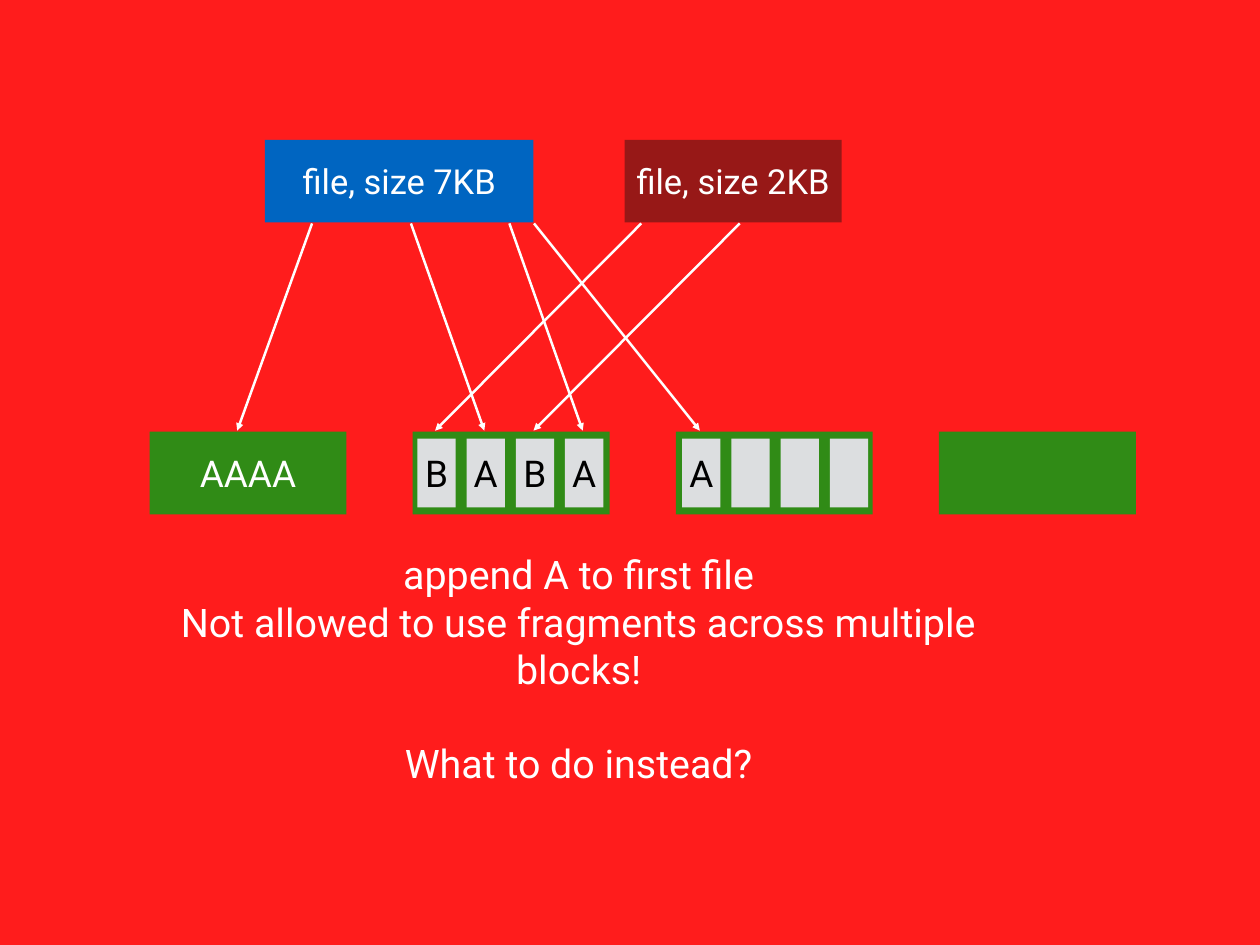
from dataclasses import dataclass
from lxml.etree import SubElement as Sub
from pptx import Presentation as Deck
from pptx.dml.color import RGBColor as Color
from pptx.enum.shapes import MSO_CONNECTOR as Link, MSO_SHAPE as Form
from pptx.enum.text import MSO_ANCHOR as Anchor, PP_ALIGN as Align
from pptx.oxml.ns import qn
from pptx.util import Inches, Pt


@dataclass(frozen=True)
class Theme:
    font: str = "Roboto"
    back: str = "FF1C1C"
    light: str = "FFFFFF"
    dark: str = "000000"
    block: str = "308B16"
    cell: str = "DCDEE0"
    blue: str = "0065C1"
    maroon: str = "971817"
    file_size: int = 28
    block_size: int = 30
    note_size: int = 32
    stroke: int = 2


class Board:
    COLS, ROWS = 128, 96

    def __init__(self, deck, theme):
        self.theme = theme
        self.wide = deck.slide_width / self.COLS
        self.high = deck.slide_height / self.ROWS
        self.slide = deck.slides.add_slide(deck.slide_layouts[6])
        self.paint(self.slide.background.fill, theme.back)

    def paint(self, fill, color):
        fill.solid()
        fill.fore_color.rgb = Color.from_string(color)

    def place(self, *spots):
        units = (self.wide, self.high) * 2
        return [round(spot * unit) for spot, unit in zip(spots, units)]

    def label(self, frame, lines, size, color, inset=0):
        frame.word_wrap = True
        frame.vertical_anchor = Anchor.MIDDLE
        frame.margin_left = frame.margin_right = Inches(inset)
        frame.margin_top = frame.margin_bottom = Inches(inset)
        for at, (text, gap) in enumerate(lines):
            para = frame.add_paragraph() if at else frame.paragraphs[0]
            para.alignment = Align.CENTER
            para.space_before = Pt(gap)
            run = para.add_run()
            run.text = text
            run.font.name = self.theme.font
            run.font.size = Pt(size)
            run.font.color.rgb = Color.from_string(color)

    def box(self, spot, fill, text, size, color):
        shape = self.slide.shapes.add_shape(Form.RECTANGLE, *self.place(*spot))
        shape.shadow.inherit = False
        self.paint(shape.fill, fill)
        shape.line.fill.background()
        if text:
            self.label(shape.text_frame, [(text, 0)], size, color)

    def note(self, spot, lines):
        area = self.slide.shapes.add_textbox(*self.place(*spot))
        look = self.theme
        self.label(area.text_frame, lines, look.note_size, look.light, 0.06)

    def arrow(self, start, end):
        link = self.slide.shapes.add_connector(
            Link.STRAIGHT, *self.place(*start, *end))
        link.line.color.rgb = Color.from_string(self.theme.light)
        link.line.width = Pt(self.theme.stroke)
        props = link._element.spPr
        Sub(props.find(qn("a:ln")), qn("a:tailEnd"), type="triangle")
        Sub(props, qn("a:effectLst"))


def main():
    deck = Deck()
    deck.slide_width, deck.slide_height = Inches(14.22), Inches(10.67)
    look = Theme()
    board = Board(deck, look)

    for at, text in enumerate(("AAAA", "", "", "")):
        board.box((15.2 + 26.73 * at, 43.85, 20, 8.4), look.block,
                  text, look.block_size, look.light)

    files = ((26.9, 27.3, look.blue, "file, size 7KB"),
             (63.45, 22.05, look.maroon, "file, size 2KB"))
    for left, width, fill, text in files:
        board.box((left, 14.2, width, 8.4), fill,
                  text, look.file_size, look.light)

    split, last, step = 42.4, 69.3, 5
    for left, marks in ((split, "BABA"), (last, ("A", "", "", ""))):
        for slot, mark in enumerate(marks):
            board.box((left + step * slot, 44.55, 3.9, 7), look.cell,
                      mark, look.block_size, look.dark)

    mid = 1.8
    links = ((31.7, 24.1), (41.75, split + mid + step),
             (51.75, split + mid + 3 * step), (54.25, last + mid),
             (65.15, split + mid), (75.15, split + mid + 2 * step))
    for start, end in links:
        board.arrow((start, 22.7), (end, 43.75))

    board.note((16.5, 57.7, 84.6, 20.4), (
        ("append A to first file", 0),
        ("Not allowed to use fragments across multiple blocks!", 0),
        ("What to do instead?", 38)))
    deck.save("out.pptx")


if __name__ == "__main__":
    main()
